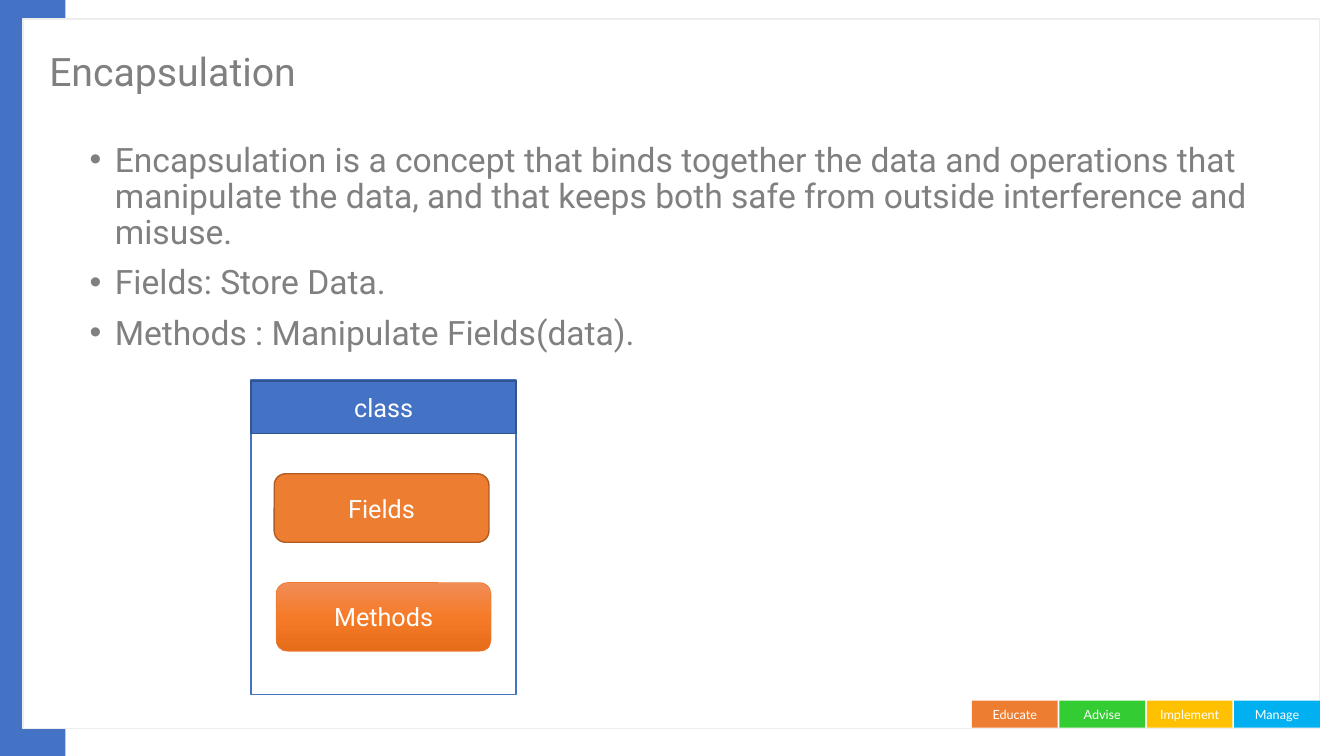
from copy import deepcopy

from lxml import etree
from pptx import Presentation
from pptx.dml.color import RGBColor
from pptx.enum.shapes import MSO_SHAPE
from pptx.enum.text import MSO_ANCHOR, PP_ALIGN
from pptx.oxml.ns import qn
from pptx.util import Inches, Pt

RECT = MSO_SHAPE.RECTANGLE
ROUND = MSO_SHAPE.ROUNDED_RECTANGLE
MIDDLE = MSO_ANCHOR.MIDDLE
TOP = MSO_ANCHOR.TOP
CENTER = PP_ALIGN.CENTER
LEFT = PP_ALIGN.LEFT

BLUE = "4472C4"
ORANGE = "ED7D31"
WHITE = "FFFFFF"
GRAY = "808080"

TAGS = [("Educate", ORANGE), ("Advise", "33CC33"),
        ("Implement", "FFC000"), ("Manage", "00B0F0")]
POINTS = [
    "Encapsulation is a concept that binds together the data and operations "
    "that manipulate the data, and that keeps both safe from outside "
    "interference and misuse.",
    "Fields: Store Data.",
    "Methods : Manipulate Fields(data).",
]
SHADES = [(0, "F18C57"), (0.5, "F67B28"), (1, "E56C19")]


def color(code):
    return RGBColor.from_string(code)


def apply(item, values):
    for name, value in values.items():
        setattr(item, name, value)


def write(para, text, size, shade, face="Roboto", align=LEFT):
    para.text = text
    para.alignment = align
    apply(para.runs[0].font, {"size": Pt(size), "name": face})
    para.runs[0].font.color.rgb = color(shade)


def add_box(slide, place, fill, line=None, width=1, kind=RECT):
    box = slide.shapes.add_shape(kind, *map(Inches, place))
    box.shadow.inherit = False
    box.fill.solid()
    box.fill.fore_color.rgb = color(fill)
    if line:
        box.line.color.rgb = color(line)
        box.line.width = Pt(width)
    else:
        box.line.fill.background()
    return box


def add_label(box, text, size=18, face="Roboto"):
    apply(box.text_frame, {"vertical_anchor": MIDDLE, "word_wrap": True})
    write(box.text_frame.paragraphs[0], text, size, WHITE, face, CENTER)


def add_frame(slide, place, anchor):
    frame = slide.shapes.add_textbox(*map(Inches, place)).text_frame
    apply(frame, {"word_wrap": True, "vertical_anchor": anchor})
    return frame


def add_bullet(para):
    props = para._p.get_or_add_pPr()
    props.set("marL", str(Inches(0.25)))
    props.set("indent", str(Inches(-0.25)))
    font = etree.SubElement(props, qn("a:buFont"))
    font.set("typeface", "Arial")
    mark = etree.SubElement(props, qn("a:buChar"))
    mark.set("char", "•")


def add_points(slide, place):
    frame = add_frame(slide, place, TOP)
    for index, text in enumerate(POINTS):
        para = frame.add_paragraph() if index else frame.paragraphs[0]
        add_bullet(para)
        apply(para, {"line_spacing": 0.9, "space_before": Pt(10 if index else 0)})
        write(para, text, 24, GRAY)


def add_shades(box):
    box.fill.gradient()
    box.fill.gradient_angle = 270
    first = box._element.spPr.find(".//" + qn("a:gs"))
    first.addnext(deepcopy(first))
    for stop, (place, shade) in zip(box.fill.gradient_stops, SHADES):
        stop.position = place
        stop.color.rgb = color(shade)


def add_base(slide):
    add_box(slide, (0, 0, 0.65, 7.5), BLUE)
    add_box(slide, (0.23, 0.19, 12.86, 7.04), WHITE, "EDEDED")
    for index, (text, fill) in enumerate(TAGS):
        tag = add_box(slide, (9.64 + index * 0.867, 6.95, 0.85, 0.27), fill)
        add_label(tag, text, 9, "Lato")


def add_class(slide):
    add_box(slide, (2.49, 3.77, 2.63, 3.12), WHITE, BLUE)
    head = add_box(slide, (2.49, 3.78, 2.63, 0.52), BLUE, "325491")
    fields = add_box(slide, (2.72, 4.7, 2.13, 0.68), ORANGE, "AF5C24", kind=ROUND)
    methods = add_box(slide, (2.74, 5.78, 2.13, 0.68), ORANGE, ORANGE, 0.5, ROUND)
    add_shades(methods)
    for box, text in ((head, "class"), (fields, "Fields"), (methods, "Methods")):
        add_label(box, text)


def main():
    deck = Presentation()
    apply(deck, {"slide_width": Inches(13.33), "slide_height": Inches(7.5)})
    slide = deck.slides.add_slide(deck.slide_layouts[6])
    add_base(slide)
    title = add_frame(slide, (0.39, 0.3, 10.32, 0.87), MIDDLE).paragraphs[0]
    title.line_spacing = 0.9
    write(title, "Encapsulation", 28, GRAY)
    add_points(slide, (0.79, 1.37, 12.09, 5.46))
    add_class(slide)
    deck.save("out.pptx")


if __name__ == "__main__":
    main()
